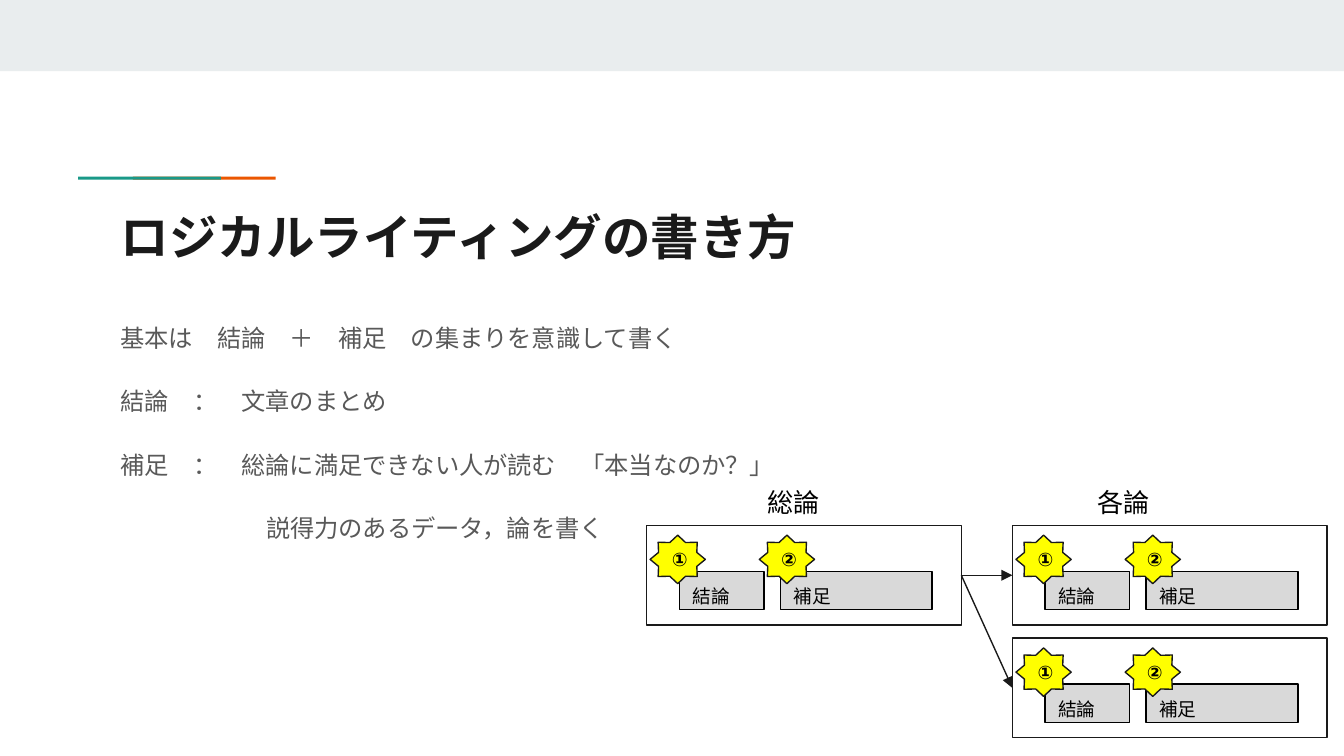
"""Builds a slide on how to write logically: conclusion plus supporting detail."""
from lxml import etree
from pptx import Presentation
from pptx.dml.color import RGBColor
from pptx.enum import shapes, text
from pptx.oxml.ns import qn
from pptx.util import Pt

THEME = {
    "band": "E9EDEE", "teal": "1A9988", "orange": "EB5600", "ink": "1A1A1A",
    "body": "595959", "black": "000000", "grey": "D9D9D9", "yellow": "FFFF00",
    "title_font": "Manrope", "body_font": "Lato", "label_font": "Arial",
    "title_size": 26, "body_size": 13, "heading_size": 14, "label_size": 10,
    "line": 0.75, "inset": 7.2,
}
TITLE = "ロジカルライティングの書き方"
BODY = [
    ("基本は　結論　＋　補足　の集まりを意識して書く", 0),
    ("結論　：　文章のまとめ", 0),
    ("補足　：　総論に満足できない人が読む　「本当なのか？」", 0),
    ("説得力のあるデータ，論を書く", 6),
]
HEADINGS = [("総論", 403.9), ("各論", 581)]
CARDS = [(346.4, 281.5), (542.4, 281.5), (542.4, 341.9)]
CARD_SIZE = (168.6, 53.4)
BOXES = [("結論", 17.5, 45.4), ("補足", 71.6, 81.4)]
STARS = [("①", 1.9), ("②", 60.4)]
ACCENTS = [("orange", 71.2), ("teal", 41.8)]

RECT = shapes.MSO_SHAPE.RECTANGLE
STAR = shapes.MSO_SHAPE.STAR_8_POINT


def color(name):
    return RGBColor.from_string(THEME[name])


def add_shape(parent, kind, box, fill=None, line=None):
    sp = parent.shapes.add_shape(kind, *map(Pt, box))
    sp.shadow.inherit = False
    if fill:
        sp.fill.solid()
        sp.fill.fore_color.rgb = color(fill)
    else:
        sp.fill.background()
    if line:
        sp.line.color.rgb = color(line)
        sp.line.width = Pt(THEME["line"])
    else:
        sp.line.fill.background()
    return sp


def set_up_frame(sp, anchor=text.MSO_ANCHOR.TOP):
    tf = sp.text_frame
    tf.word_wrap = True
    tf.vertical_anchor = anchor
    tf.margin_left = tf.margin_right = Pt(THEME["inset"])
    tf.margin_top = tf.margin_bottom = Pt(THEME["inset"])
    return tf


def add_run(p, words, role, ink="black", bold=False, font="label_font"):
    p.alignment = text.PP_ALIGN.LEFT
    r = p.add_run()
    r.text = words
    r.font.name = THEME[font]
    r.font.size = Pt(THEME[role])
    r.font.bold = bold
    r.font.color.rgb = color(ink)


def add_textbox(s, box):
    return set_up_frame(s.shapes.add_textbox(*map(Pt, box)))


def add_card(s, left, top):
    group = s.shapes.add_group_shape()
    frame = add_shape(group, RECT, (left, top, *CARD_SIZE), line="ink")
    for words, dx, width in BOXES:
        sp = add_shape(group, RECT, (left + dx, top + 24.6, width, 20.6), "grey", "black")
        add_run(set_up_frame(sp).paragraphs[0], words, "label_size")
    for words, dx in STARS:
        sp = add_shape(group, STAR, (left + dx, top + 5.2, 29.6, 26), "yellow", "ink")
        sp.adjustments[0] = 0.375
        tf = set_up_frame(sp, text.MSO_ANCHOR.MIDDLE)
        add_run(tf.paragraphs[0], words, "label_size", bold=True)
    return frame


def add_arrow(s, start, end):
    cx = s.shapes.add_connector(shapes.MSO_CONNECTOR.STRAIGHT, 0, 0, 0, 0)
    cx.begin_connect(start, 3)
    cx.end_connect(end, 1)
    cx.line.color.rgb = color("ink")
    cx.line.width = Pt(THEME["line"])
    etree.SubElement(cx.line._get_or_add_ln(), qn("a:tailEnd"),
                     type="triangle", w="med", len="med")
    etree.SubElement(cx._element.spPr, qn("a:effectLst"))


def main():
    prs = Presentation()
    prs.slide_width, prs.slide_height = Pt(720), Pt(405)
    s = prs.slides.add_slide(prs.slide_layouts[6])

    add_shape(s, RECT, (0, 0, 720, 38.2), "band")
    for fill, left in ACCENTS:
        add_shape(s, RECT, (left, 94.7, 76.5, 1.6), fill)

    tf = add_textbox(s, (57.5, 103.8, 605.5, 42.4))
    add_run(tf.paragraphs[0], TITLE, "title_size", "ink", True, "title_font")

    tf = add_textbox(s, (57.5, 163.6, 605.5, 178))
    for i, (words, indent) in enumerate(BODY):
        p = tf.add_paragraph() if i else tf.paragraphs[0]
        p.line_spacing = 1.15
        p.space_after = Pt(16)
        if indent:
            p._p.get_or_add_pPr().set("marL", str(Pt(indent * THEME["body_size"])))
        add_run(p, words, "body_size", "body", font="body_font")

    overview, *details = [add_card(s, left, top) for left, top in CARDS]
    for detail in details:
        add_arrow(s, overview, detail)
    for words, left in HEADINGS:
        tf = add_textbox(s, (left, 253.4, 90.7, 32.4))
        add_run(tf.paragraphs[0], words, "heading_size")

    prs.save("out.pptx")


if __name__ == "__main__":
    main()
